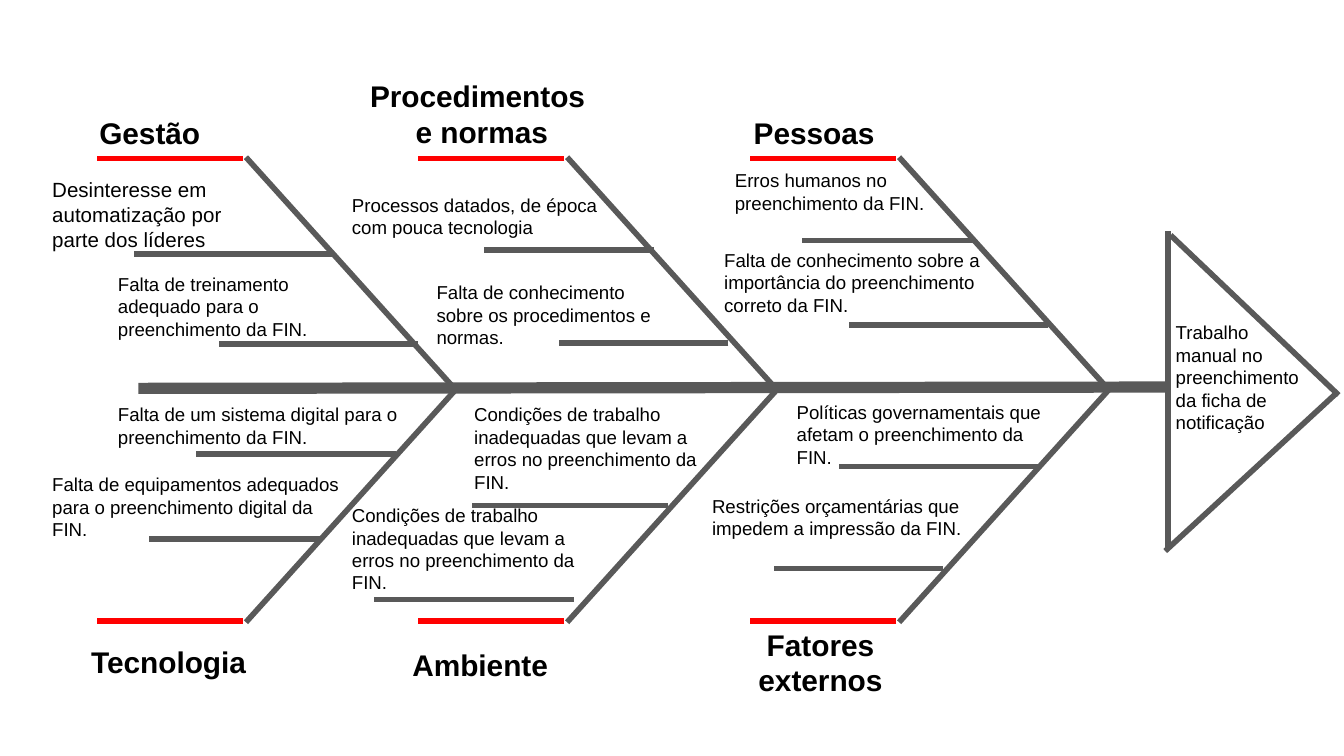
from dataclasses import dataclass

from lxml import etree
from pptx import Presentation, util as u
from pptx.dml.color import RGBColor
from pptx.enum import shapes, text
from pptx.oxml.ns import qn

PX = 9144  # EMU in one px, 100 px to the inch
WIDE = 1000 * PX
HIGH = WIDE * 9 // 16


@dataclass(frozen=True)
class Theme:
    font: str = "Arial"
    ink: str = "000000"
    bone: str = "595959"
    mark: str = "FF0000"
    head: int = 16
    lead: int = 11
    note: int = 10
    thin: int = 3
    thick: int = 6
    pad: int = 10


T = Theme()
LEFT, MID = text.PP_ALIGN.LEFT, text.PP_ALIGN.CENTER


def draw_line(slide, start, end, color=T.bone, width=T.thin):
    ends = [n * PX for n in (*start, *end)]
    line = slide.shapes.add_connector(shapes.MSO_CONNECTOR.STRAIGHT, *ends)
    line.line.color.rgb = RGBColor.from_string(color)
    line.line.width = u.Pt(width)
    etree.SubElement(line._element.spPr, qn("a:effectLst"))


def add_text(slide, box, lines, size=T.note, bold=False, align=LEFT):
    frame = slide.shapes.add_textbox(*[n * PX for n in box]).text_frame
    frame.word_wrap = True
    frame.auto_size = text.MSO_AUTO_SIZE.SHAPE_TO_FIT_TEXT
    frame.margin_left = frame.margin_right = T.pad * PX
    frame.margin_top = frame.margin_bottom = T.pad * PX
    for i, words in enumerate(lines):
        para = frame.add_paragraph() if i else frame.paragraphs[0]
        para.alignment = align
        run = para.add_run()
        run.text = words
        run.font.name = T.font
        run.font.size = u.Pt(size)
        run.font.bold = bold
        run.font.color.rgb = RGBColor.from_string(T.ink)


def add_branch(slide, box, top, head, ribs, notes):
    """One category: slanted bone, red bar, ribs, heading and causes."""
    x, y, w, h = box
    edge, joint = (y, y + h) if top else (y + h, y)
    bar = edge + 1 if top else edge - 1

    # Bone and red bar
    draw_line(slide, (x + 111, edge), (x + w, joint))
    draw_line(slide, (x + 109, bar), (x, bar), T.mark)

    # Ribs
    for dx, dy, size in ribs:
        draw_line(slide, (x + dx + size, y + dy), (x + dx, y + dy))

    # Heading and causes
    lines, (dx, dy, tw, th), align = head
    add_text(slide, (x + dx, y + dy, tw, th), lines, T.head, True, align)
    for words, (dx, dy, tw, th), size in notes:
        add_text(slide, (x + dx, y + dy, tw, th), [words], size)


def add_effect(slide, box, words):
    """The fish head: an open triangle with the effect inside."""
    x, y, w, h = box
    draw_line(slide, (x + 4, y), (x + 4, y + h - 2))
    draw_line(slide, (x + 2, y + h), (x + w - 1, y + 120))
    draw_line(slide, (x + 6, y + 3), (x + w, y + 122))
    add_text(slide, (x, y + 57, 116, 104), [words])


# Each branch: top side, heading, ribs (x, y, length), causes
COLS = (72, 311, 558)
WORK = ("Condições de trabalho inadequadas que levam a erros "
        "no preenchimento da FIN.")
BRANCHES = [
    (True, (["Gestão"], (-8, -42, 102, 47), LEFT),
     [(28, 72, 148), (91, 139, 148)],
     [("Desinteresse em automatização por parte dos líderes",
       (-43, 5, 163, 76), T.lead),
      ("Falta de treinamento adequado para o preenchimento da FIN.",
       (6, 76, 163, 71), T.note)]),
    (True, (["Procedimentos ", "e normas"], (-111, -69, 317, 74), MID),
     [(49, 69, 127), (105, 138, 126)],
     [("Processos datados, de época com pouca tecnologia",
       (-59, 17, 218, 54), T.note),
      ("Falta de conhecimento sobre os procedimentos e normas.",
       (4, 82, 195, 71), T.note)]),
    (True, (["Pessoas"], (-7, -42, 127, 47), LEFT),
     [(39, 62, 127), (74, 125, 148)],
     [("Erros humanos no preenchimento da FIN.",
       (-21, -1, 204, 54), T.note),
      ("Falta de conhecimento sobre a importância do preenchimento "
       "correto da FIN.", (-29, 58, 246, 71), T.note)]),
    (False, (["Tecnologia"], (-14, 179, 137, 47), LEFT),
     [(74, 48, 149), (39, 111, 127)],
     [("Falta de um sistema digital para o preenchimento da FIN.",
       (6, 0, 237, 54), T.note),
      ("Falta de equipamentos adequados para o preenchimento digital "
       "da FIN.", (-43, 52, 237, 88), T.note)]),
    (False, (["Ambiente"], (-14, 181, 137, 47), LEFT),
     [(40, 86, 146), (-33, 156, 149)],
     [(WORK, (32, 0, 212, 88), T.note),
      (WORK, (-59, 75, 212, 88), T.note)]),
    (False, (["Fatores externos"], (-29, 166, 163, 74), MID),
     [(66, 57, 148), (18, 133, 126)],
     [("Políticas governamentais que afetam o preenchimento da FIN.",
       (25, -2, 214, 71), T.note),
      ("Restrições orçamentárias que impedem a impressão da FIN.",
       (-38, 68, 214, 54), T.note)]),
]


def main():
    deck = Presentation()
    deck.slide_width, deck.slide_height = WIDE, HIGH
    slide = deck.slides.add_slide(deck.slide_layouts[6])

    # Spine
    draw_line(slide, (103, 289), (868, 288), width=T.thick)

    # Three branches above the spine, three below
    for i, (top, head, ribs, notes) in enumerate(BRANCHES):
        box = (COLS[i % 3], 117 if top else 290, 267, 173)
        add_branch(slide, box, top, head, ribs, notes)

    # Effect
    add_effect(slide, (865, 172, 131, 238),
               "Trabalho manual no preenchimento da ficha de notificação")
    deck.save("out.pptx")


if __name__ == "__main__":
    main()
